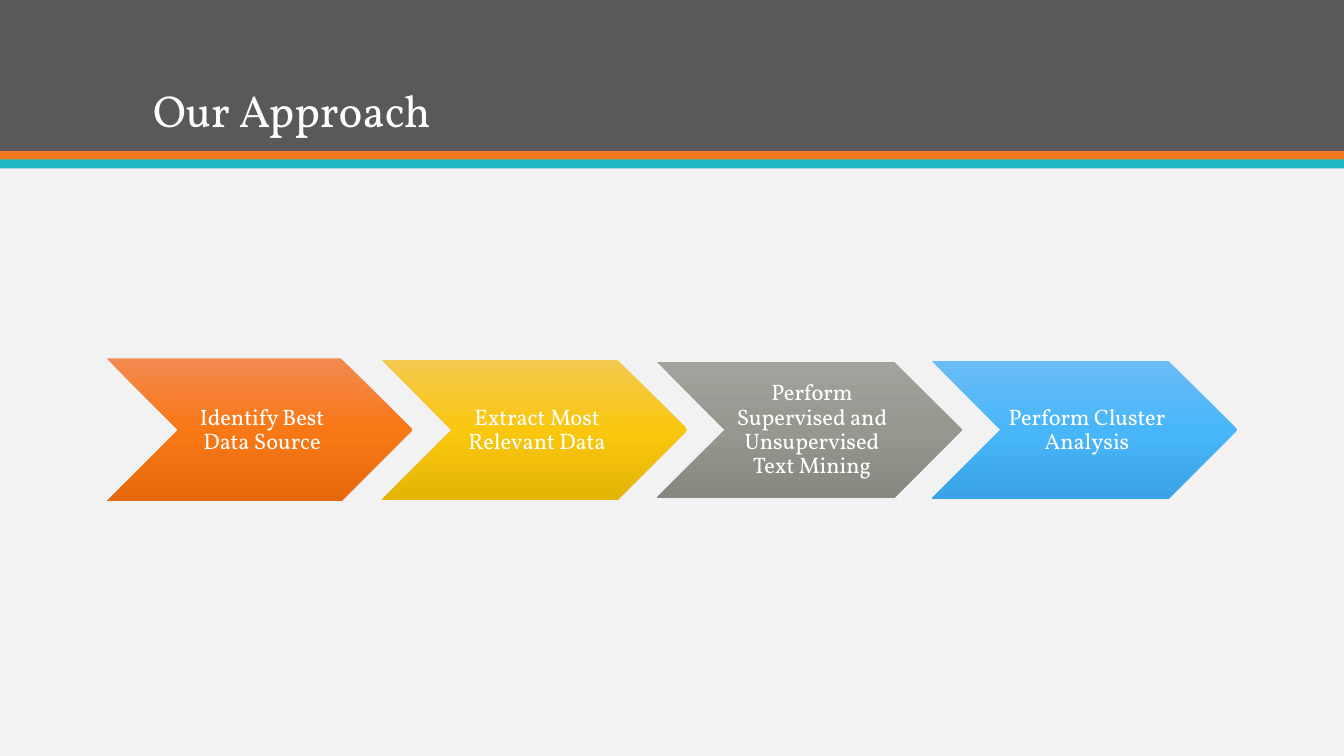
from copy import deepcopy

from pptx import Presentation
from pptx.dml.color import RGBColor
from pptx.enum.shapes import MSO_SHAPE
from pptx.enum.text import MSO_ANCHOR, PP_ALIGN
from pptx.oxml.ns import qn
from pptx.util import Inches, Pt

RECTANGLE, CHEVRON = MSO_SHAPE.RECTANGLE, MSO_SHAPE.CHEVRON
MIDDLE, BOTTOM = MSO_ANCHOR.MIDDLE, MSO_ANCHOR.BOTTOM
LEFT, CENTER = PP_ALIGN.LEFT, PP_ALIGN.CENTER

FONT = "Vollkorn"
COLORS = {
    "page": "F2F2F2",
    "header": "595959",
    "orange stripe": "EF7920",
    "teal stripe": "1EB8C1",
    "text": "FFFFFF",
}
GRADIENTS = {
    "orange": ("F38950", "F97816", "E5690C"),
    "yellow": ("F3C84E", "FAC70E", "E5B506"),
    "gray": ("A2A39C", "969890", "86887F"),
    "blue": ("6ABCF5", "48B6FA", "39A3E5"),
}


def add_plain_shape(kind, left, top, width, height):
    shape = page.shapes.add_shape(
        kind, Inches(left), Inches(top), Inches(width), Inches(height))
    shape.shadow.inherit = False
    shape.line.fill.background()
    return shape


def add_text(text, left, top, width, height, size, anchor, align):
    box = page.shapes.add_textbox(
        Inches(left), Inches(top), Inches(width), Inches(height))
    frame = box.text_frame
    frame.word_wrap = True
    frame.vertical_anchor = anchor
    para = frame.paragraphs[0]
    para.text = text
    para.alignment = align
    para.line_spacing = 0.9
    para.font.name = FONT
    para.font.size = Pt(size)
    para.font.color.rgb = RGBColor.from_string(COLORS["text"])
    return frame


deck = Presentation()
deck.slide_width, deck.slide_height = Inches(13.33), Inches(7.5)
page = deck.slides.add_slide(deck.slide_layouts[6])
page.background.fill.solid()
page.background.fill.fore_color.rgb = RGBColor.from_string(COLORS["page"])

# Header
for name, top, height in [
    ("header", 0, 1.5),
    ("orange stripe", 1.5, 0.09),
    ("teal stripe", 1.58, 0.09),
]:
    band = add_plain_shape(RECTANGLE, 0, top, 13.33, height)
    band.fill.solid()
    band.fill.fore_color.rgb = RGBColor.from_string(COLORS[name])

add_text("Our Approach", 1.42, 0.28, 10.5, 1.13, 32, BOTTOM, LEFT)

# Process steps: chevrons of slightly different height on one center line
STEP_LEFT, STEP_PITCH, STEP_WIDTH, STEP_MIDDLE = 1.06, 2.727, 3.03, 4.265
steps = [
    ("Identify Best Data Source", "orange", 1.42),
    ("Extract Most Relevant Data", "yellow", 1.39),
    ("Perform Supervised and Unsupervised Text Mining", "gray", 1.35),
    ("Perform Cluster Analysis", "blue", 1.37),
]
for index, (label, gradient, height) in enumerate(steps):
    left = STEP_LEFT + index * STEP_PITCH
    top = STEP_MIDDLE - height / 2
    step = add_plain_shape(CHEVRON, left, top, STEP_WIDTH, height)

    step.fill.gradient()
    step.fill.gradient_angle = 270
    stop_list = step._element.spPr.find(qn("a:gradFill")).find(qn("a:gsLst"))
    stop_list.append(deepcopy(stop_list[0]))
    for number, stop in enumerate(step.fill.gradient_stops):
        stop.position = number / 2
        stop.color.rgb = RGBColor.from_string(GRADIENTS[gradient][number])

    # The label sits between the notch and the point, each half a height deep
    frame = add_text(label, left + height / 2, top, STEP_WIDTH - height, height,
                     16, MIDDLE, CENTER)
    frame.margin_left = Inches(0.07)
    frame.margin_top = frame.margin_right = frame.margin_bottom = Inches(0.02)

deck.save("out.pptx")
